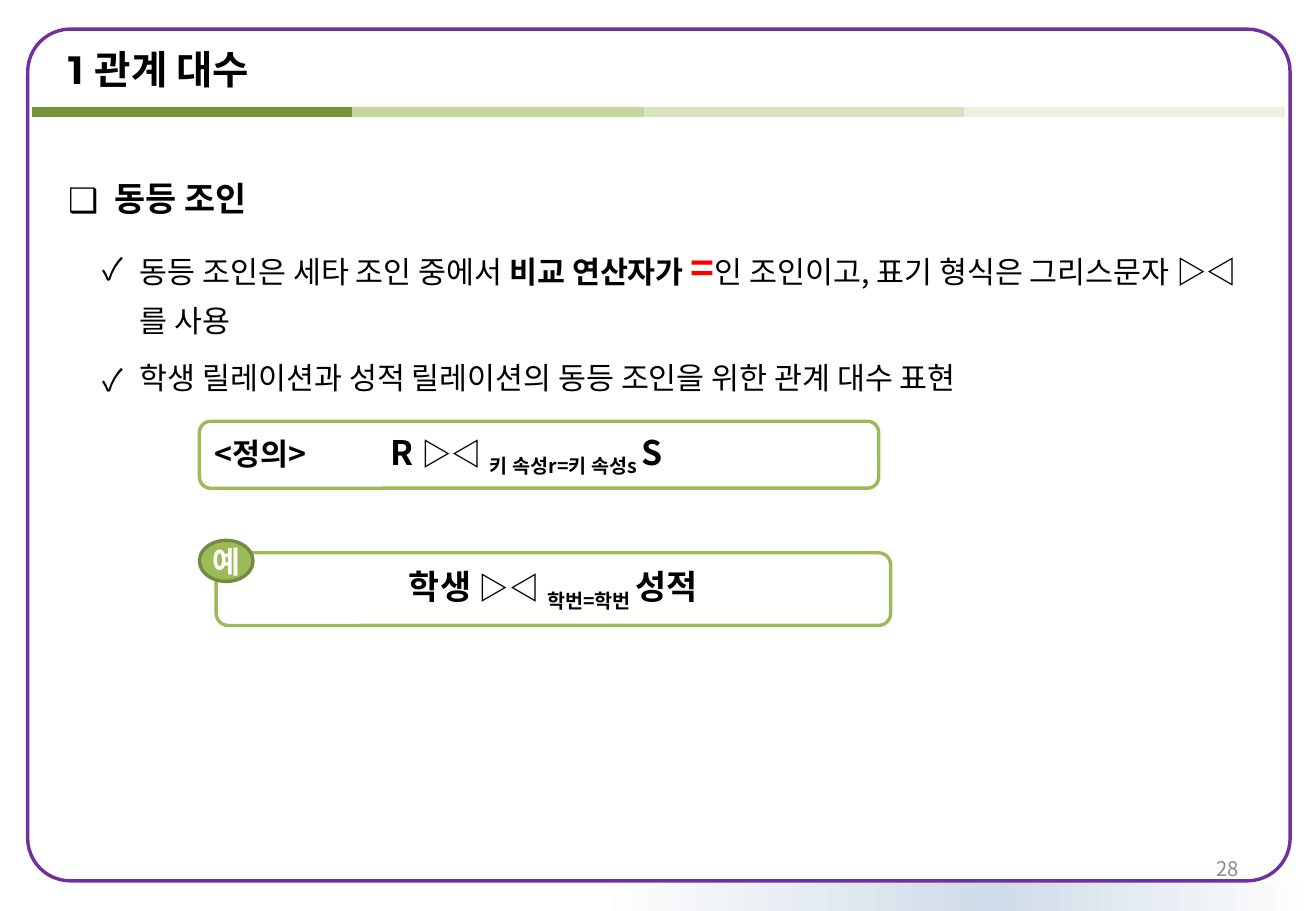
from copy import deepcopy
from dataclasses import dataclass

from lxml import etree
from pptx import Presentation
from pptx.dml.color import RGBColor
from pptx.enum import shapes, text
from pptx.oxml import ns
from pptx.util import Cm, Pt


@dataclass(frozen=True)
class Theme:
    heading_font: str = "Montserrat"
    font: str = "Noto Sans CJK KR"
    black: str = "000000"
    white: str = "FFFFFF"
    red: str = "FF0000"
    gray: str = "8C8C8C"
    purple: str = "7030A0"
    green: str = "9BBB59"
    dark_green: str = "738A42"
    mist: str = "CFDBE8"
    title: float = 23.4
    symbol: int = 24
    large: int = 20
    normal: int = 18
    small: int = 12


theme = Theme()


def write(paragraph, parts, font=theme.font):
    """Fill a paragraph from (words, size, bold, colour, baseline) parts."""
    for words, size, bold, color, baseline in parts:
        run = paragraph.add_run()
        run.text = words
        run.font.size, run.font.bold, run.font.name = Pt(size), bold, font
        run.font.color.rgb = RGBColor.from_string(color)
        properties = run._r.get_or_add_rPr()
        etree.SubElement(properties, ns.qn("a:ea")).set("typeface", theme.font)
        if baseline:
            properties.set("baseline", str(baseline * 1000))


def add_outlined(kind, left, top, width, height, line, fill=None):
    shape = slide.shapes.add_shape(kind, Cm(left), Cm(top), Cm(width), Cm(height))
    shape.shadow.inherit = False
    shape.line.color.rgb = RGBColor.from_string(line)
    shape.line.width = Pt(2)
    if fill:
        shape.fill.solid()
        shape.fill.fore_color.rgb = RGBColor.from_string(fill)
    else:
        shape.fill.background()
    shape.text_frame.vertical_anchor = text.MSO_ANCHOR.MIDDLE
    return shape


prs = Presentation()
prs.slide_width, prs.slide_height = Cm(27.51), Cm(19.05)
slide = prs.slides.add_slide(prs.slide_layouts[1])
rounded = shapes.MSO_SHAPE.ROUNDED_RECTANGLE

# Footer glow, frame and heading rule
glow = slide.shapes.add_shape(
    shapes.MSO_SHAPE.RECTANGLE, Cm(12.48), Cm(18.45), Cm(15.03), Cm(0.6))
glow.shadow.inherit = False
glow.line.fill.background()
glow.fill.gradient()
glow.fill.gradient_angle = 0
stop_list = glow._element.spPr.find(".//" + ns.qn("a:gsLst"))
stop_list.append(deepcopy(stop_list[0]))
glow_stops = ((0, theme.white), (0.55, theme.mist), (1, theme.white))
for stop, (position, color) in zip(glow.fill.gradient_stops, glow_stops):
    stop.position = position
    stop.color.rgb = RGBColor.from_string(color)

frame = add_outlined(rounded, 0.58, 0.61, 26.39, 17.81, theme.purple)
frame.adjustments[0] = 0.05

rule_y, rule_length = Cm(2.34), Cm(6.7)
for start, color in ((6.76, "C3D69B"), (13.46, "D7E4BD"),
                     (20.16, "EBF1DE"), (0.66, "77933C")):
    rule = slide.shapes.add_connector(
        shapes.MSO_CONNECTOR.STRAIGHT, Cm(start), rule_y, Cm(start) + rule_length, rule_y)
    rule.line.color.rgb = RGBColor.from_string(color)
    rule.line.width = Pt(6)
    etree.SubElement(rule._element.spPr, ns.qn("a:effectLst"))

# Title and page number
title = slide.shapes.title
title.left, title.top, title.width, title.height = Cm(1.17), Cm(0.91), Cm(17.02), Cm(1.04)
title.text_frame.auto_size = text.MSO_AUTO_SIZE.NONE
title.text_frame.vertical_anchor = text.MSO_ANCHOR.MIDDLE
heading = title.text_frame.paragraphs[0]
heading.alignment = text.PP_ALIGN.LEFT
write(heading, [("1 관계 대수", theme.title, True, theme.black, 0)], theme.heading_font)

page = slide.shapes.add_textbox(Cm(19.71), Cm(17.65), Cm(6.43), Cm(1.02)).text_frame
page.word_wrap = True
page.vertical_anchor = text.MSO_ANCHOR.MIDDLE
page.paragraphs[0].alignment = text.PP_ALIGN.RIGHT
write(page.paragraphs[0], [("28", theme.small, False, theme.gray, 0)])

# Explanation of the equi-join
body = slide.placeholders[1]
body.left, body.top, body.width, body.height = Cm(1.17), Cm(3.33), Cm(24.99), Cm(5.21)
body.text_frame.auto_size = text.MSO_AUTO_SIZE.NONE
explanation = (
    (0, "❑", 0.97, 0.97, [("동등 조인", theme.large, True, theme.black, 0)]),
    (1, "✓", 1.5, 0.79, [
        ("동등 조인은 세타 조인 중에서 ", theme.normal, False, theme.black, 0),
        ("비교 연산자가 ", theme.normal, True, theme.black, 0),
        ("=", theme.symbol, True, theme.red, 0),
        ("인 조인이고, 표기 형식은 그리스문자 ", theme.normal, False, theme.black, 0),
        ("▷◁", theme.normal, True, theme.black, 0),
        ("를 사용", theme.normal, False, theme.black, 0)]),
    (1, "✓", 1.5, 0.79, [
        ("학생 릴레이션과 성적 릴레이션의 동등 조인을 위한 관계 대수 표현",
         theme.normal, False, theme.black, 0)]),
)
for index, (level, bullet, margin, hanging, parts) in enumerate(explanation):
    item = body.text_frame.add_paragraph() if index else body.text_frame.paragraphs[0]
    item.level = level
    item.alignment = text.PP_ALIGN.LEFT
    item.line_spacing = 1.3
    item.space_before, item.space_after = Pt(0), Pt(6)
    properties = item._p.get_or_add_pPr()
    properties.set("marL", str(Cm(margin)))
    properties.set("indent", str(-Cm(hanging)))
    etree.SubElement(properties, ns.qn("a:buFont")).set("typeface", theme.font)
    etree.SubElement(properties, ns.qn("a:buChar")).set("char", bullet)
    write(item, parts)

# Definition and example
definition = add_outlined(rounded, 4.17, 8.81, 14.2, 1.4, theme.green)
formula = definition.text_frame.paragraphs[0]
formula.alignment = text.PP_ALIGN.LEFT
tabs = etree.SubElement(formula._p.get_or_add_pPr(), ns.qn("a:tabLst"))
etree.SubElement(tabs, ns.qn("a:tab"), pos=str(Cm(3.68)), algn="l")
write(formula, [
    ("<정의>\t", theme.normal, True, theme.black, 0),
    ("R ", theme.large, True, theme.black, 0),
    ("▷◁", theme.normal, True, theme.black, 0),
    (" ", theme.large, True, theme.black, 0),
    ("키 속성r=키 속성s ", theme.large, True, theme.black, -25),
    ("S", theme.large, True, theme.black, 0)])

example = add_outlined(rounded, 4.52, 11.56, 14.1, 1.52, theme.green)
example.text_frame.paragraphs[0].alignment = text.PP_ALIGN.CENTER
write(example.text_frame.paragraphs[0], [
    ("학생 ", theme.large, True, theme.black, 0),
    ("▷◁", theme.normal, True, theme.black, 0),
    (" ", theme.large, True, theme.black, 0),
    ("학번=학번 ", theme.large, True, theme.black, -25),
    ("성적", theme.large, True, theme.black, 0)])

badge = add_outlined(shapes.MSO_SHAPE.OVAL, 4.17, 11.3, 1.12, 0.86,
                     theme.dark_green, theme.green)
badge.text_frame.word_wrap = False
badge.text_frame.paragraphs[0].alignment = text.PP_ALIGN.CENTER
write(badge.text_frame.paragraphs[0], [("예", theme.normal, True, theme.white, 0)])

prs.save("out.pptx")
